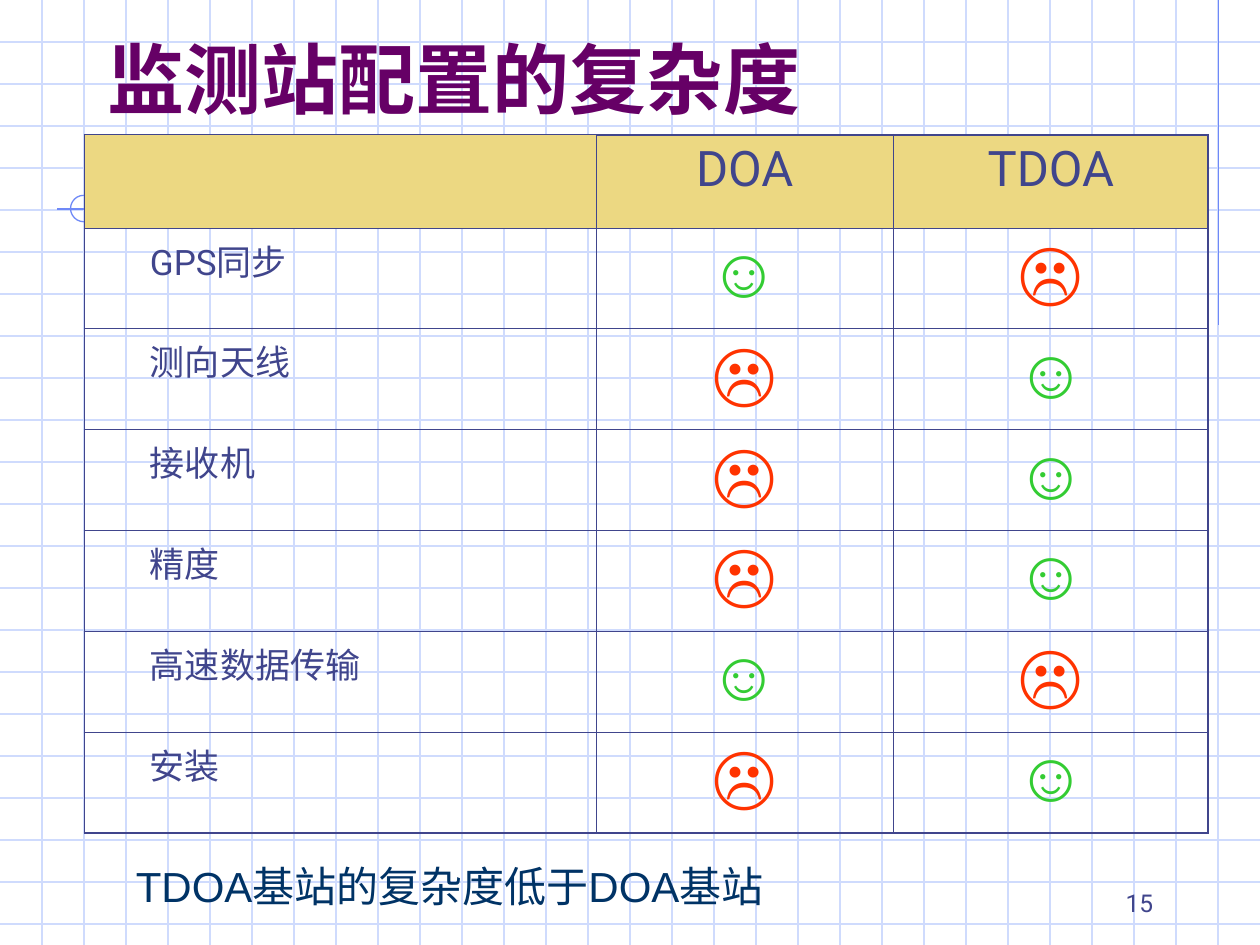
from lxml import etree
from pptx import Presentation, util as u
from pptx.dml.color import RGBColor
from pptx.enum import shapes, text
from pptx.oxml import ns

GRID_BLUE = RGBColor(0xCF, 0xDB, 0xFD)
ACCENT_BLUE = RGBColor(0x6F, 0x89, 0xF7)
PURPLE = RGBColor(0x66, 0x00, 0x66)
INDIGO = RGBColor(0x40, 0x45, 0x8C)
NAVY = RGBColor(0x00, 0x33, 0x66)
SAND = RGBColor(0xEC, 0xD8, 0x82)
GREEN = RGBColor(0x33, 0xCC, 0x33)
RED = RGBColor(0xFF, 0x33, 0x00)

GOOD, BAD = "☺", "☹"
FACE_COLORS = {GOOD: GREEN, BAD: RED}
SYSTEMS = ["DOA", "TDOA"]
RATINGS = [
    ("GPS同步", GOOD, BAD),
    ("测向天线", BAD, GOOD),
    ("接收机", BAD, GOOD),
    ("精度", BAD, GOOD),
    ("高速数据传输", GOOD, BAD),
    ("安装", BAD, GOOD),
]
COLUMN_WIDTHS = [4.06, 2.36, 2.5]
HEADER_HEIGHT, ROW_HEIGHT = 0.74, 0.8
THIN, THICK = 0.45, 1.08


def write(frame, wording, size, color, font="Roboto", bold=False,
          align=text.PP_ALIGN.LEFT, indent=0):
    paragraph = frame.paragraphs[0]
    paragraph.alignment = align
    if indent:
        properties = paragraph._p.get_or_add_pPr()
        properties.set("marL", str(u.Inches(indent)))
        properties.set("indent", "0")
    run = paragraph.add_run()
    run.text = wording
    run.font.size = u.Pt(size)
    run.font.name = font
    run.font.bold = bold
    run.font.color.rgb = color


def add_rule(group, x1, y1, x2, y2, color):
    rule = group.shapes.add_connector(
        shapes.MSO_CONNECTOR.STRAIGHT, *map(u.Inches, (x1, y1, x2, y2)))
    rule.line.color.rgb = color
    rule.line.width = u.Pt(0.75)
    etree.SubElement(rule._element.spPr, ns.qn("a:effectLst"))


def add_backdrop(slide):
    # Graph paper with lines every third of an inch
    paper = slide.shapes.add_group_shape()
    for step in range(1, 23):
        add_rule(paper, 0, step / 3, 10, step / 3, GRID_BLUE)
    for step in range(1, 30):
        add_rule(paper, step / 3, 0, step / 3, 7.5, GRID_BLUE)

    # Accent rules and the open circle where two of them cross
    add_rule(paper, 9.67, 0, 9.67, 2.58, ACCENT_BLUE)
    add_rule(paper, 2.4, 1.66, 0.45, 1.66, ACCENT_BLUE)
    add_rule(paper, 0.67, 1.55, 0.67, 4.09, ACCENT_BLUE)
    circle = paper.shapes.add_shape(
        shapes.MSO_SHAPE.ARC, *map(u.Inches, (0.56, 1.55, 0.21, 0.21)))
    circle.adjustments[0] = 0
    circle.adjustments[1] = 162  # 270 degrees, in units of 1/0.6 degree
    circle.shadow.inherit = False
    circle.fill.background()
    circle.line.color.rgb = ACCENT_BLUE
    circle.line.width = u.Pt(0.75)


def add_title(slide, wording):
    title = slide.shapes.title
    title.left, title.top, title.width, title.height = map(
        u.Inches, (0.75, 0.36, 8.5, 0.67))
    frame = title.text_frame
    frame.auto_size = text.MSO_AUTO_SIZE.NONE
    frame.word_wrap = True
    frame.vertical_anchor = text.MSO_ANCHOR.BOTTOM
    write(frame, wording, 44, PURPLE, bold=True)
    # Bring the title in front of the graph paper
    title.element.getparent().append(title.element)


def add_textbox(slide, wording, left, top, width, height,
                anchor=text.MSO_ANCHOR.TOP, **style):
    box = slide.shapes.add_textbox(*map(u.Inches, (left, top, width, height)))
    box.text_frame.word_wrap = True
    box.text_frame.vertical_anchor = anchor
    write(box.text_frame, wording, **style)


def set_borders(cell, widths):
    properties = cell._tc.get_or_add_tcPr()
    for side, width in widths.items():
        edge = etree.SubElement(properties, ns.qn(f"a:ln{side}"), w=str(u.Pt(width)))
        fill = etree.SubElement(edge, ns.qn("a:solidFill"))
        etree.SubElement(fill, ns.qn("a:srgbClr"), val=str(INDIGO))


def add_ratings_table(slide):
    row_count, column_count = len(RATINGS) + 1, len(COLUMN_WIDTHS)
    heights = [HEADER_HEIGHT] + [ROW_HEIGHT] * len(RATINGS)
    ratings = slide.shapes.add_table(
        row_count, column_count, u.Inches(0.67), u.Inches(1.07),
        u.Inches(sum(COLUMN_WIDTHS)), u.Inches(sum(heights))).table
    ratings.first_row = ratings.horz_banding = False
    for column, width in zip(ratings.columns, COLUMN_WIDTHS):
        column.width = u.Inches(width)
    for row, height in zip(ratings.rows, heights):
        row.height = u.Inches(height)

    # Thick outer edges, thin inner ones; the empty corner keeps a thin top
    for r in range(row_count):
        for c in range(column_count):
            cell = ratings.cell(r, c)
            set_borders(cell, {
                "L": THICK if c == 0 else THIN,
                "R": THICK if c == column_count - 1 else THIN,
                "T": THICK if r == 0 and c > 0 else THIN,
                "B": THICK if r == row_count - 1 else THIN,
            })
            if r == 0:
                cell.fill.solid()
                cell.fill.fore_color.rgb = SAND
            else:
                cell.fill.background()

    # Headings, criteria and faces
    center = text.PP_ALIGN.CENTER
    for c, system in enumerate(SYSTEMS, 1):
        write(ratings.cell(0, c).text_frame, system, 28, INDIGO, align=center)
    for r, (criterion, *faces) in enumerate(RATINGS, 1):
        write(ratings.cell(r, 0).text_frame, criterion, 20, INDIGO, indent=0.42)
        for c, face in enumerate(faces, 1):
            write(ratings.cell(r, c).text_frame, face, 40, FACE_COLORS[face],
                  font="Arial", bold=True, align=center)


def main():
    deck = Presentation()
    deck.slide_width, deck.slide_height = u.Inches(10), u.Inches(7.5)
    slide = deck.slides.add_slide(deck.slide_layouts[5])

    add_backdrop(slide)
    add_title(slide, "监测站配置的复杂度")
    # Conclusion under the table
    add_textbox(slide, "TDOA基站的复杂度低于DOA基站", 0.98, 6.78, 8.46, 0.51,
                size=24, color=NAVY, font="Arial")
    add_ratings_table(slide)
    # Page number
    add_textbox(slide, "15", 7.17, 6.83, 2.08, 0.5,
                anchor=text.MSO_ANCHOR.BOTTOM, size=14, color=INDIGO,
                align=text.PP_ALIGN.RIGHT)
    deck.save("out.pptx")


if __name__ == "__main__":
    main()
